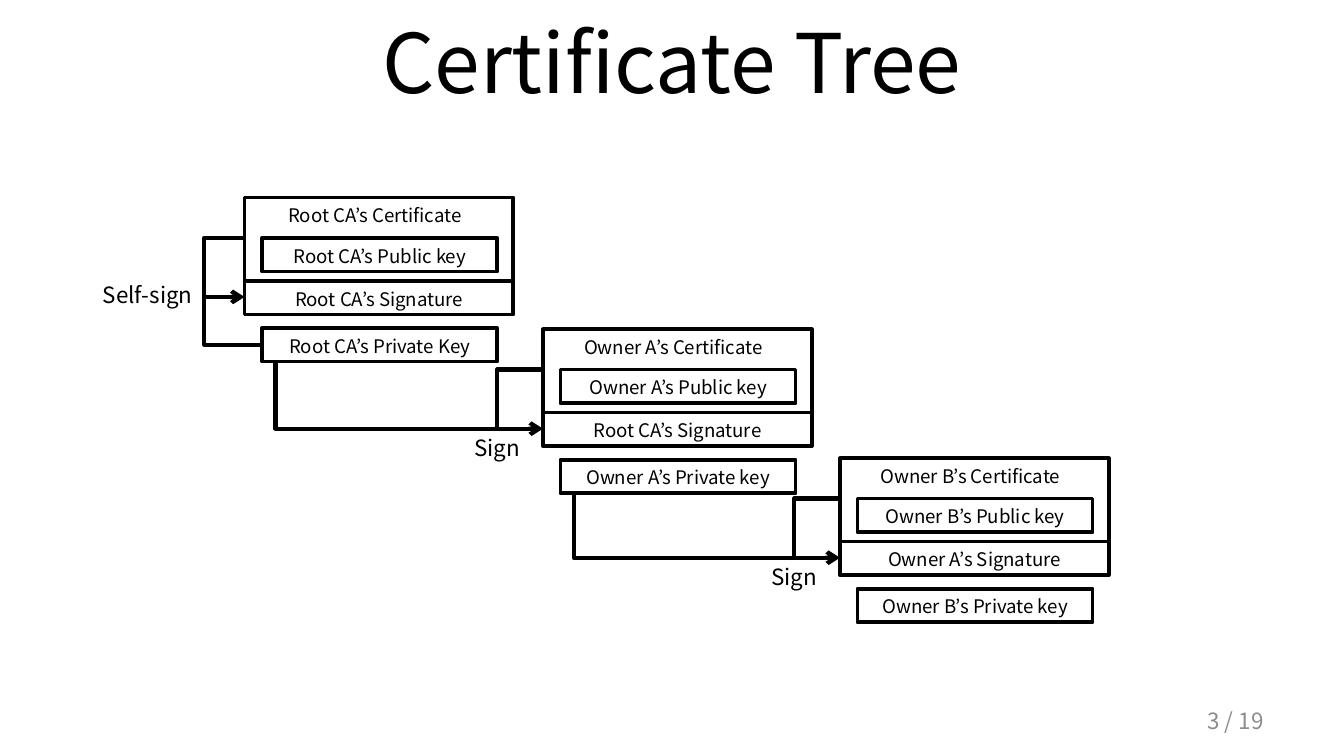
import pptx
import pptx.util
import pptx.dml.color
import pptx.enum.shapes
import pptx.enum.text
import pptx.oxml.ns
from lxml import etree

FONT = "Noto Sans CJK KR"
INK, PAPER, GREY = "000000", "FFFFFF", "8C8C8C"
ALIGN = pptx.enum.text.PP_ALIGN
ANCHOR = pptx.enum.text.MSO_ANCHOR
inch = pptx.util.Inches

TITLE = "Certificate Tree"
PAGE = "3 / 19"
# owner, signer, private key label, left, top
CERTS = [
    ("Root CA", "Root CA", "Private Key", 1.82, 1.47),
    ("Owner A", "Root CA", "Private key", 4.04, 2.45),
    ("Owner B", "Owner A", "Private key", 6.25, 3.41),
]

WIDE, BODY, ROW = 2, 0.62, 0.25     # certificate width, body and row heights
PAD, KEY = 0.13, 1.75               # indent and width of the key boxes
PUB, SIGN, PRIV = 0.3, 0.74, 0.97   # drops from the certificate's top
DROP = 0.23                         # where the signing line leaves a private key

deck = pptx.Presentation()
deck.slide_width = inch(10)
deck.slide_height = deck.slide_width * 9 // 16
slide = deck.slides.add_slide(deck.slide_layouts[6])


def paint(code):
    return pptx.dml.color.RGBColor.from_string(code)


def write(shape, text, size, color=INK, align=ALIGN.CENTER, anchor=ANCHOR.MIDDLE):
    frame = shape.text_frame
    frame.word_wrap = True
    frame.vertical_anchor = anchor
    para = frame.paragraphs[0]
    para.text = text
    para.alignment = align
    para.font.size = pptx.util.Pt(size)
    para.font.name = FONT
    para.font.color.rgb = paint(color)
    return frame


def label(text, x, y, w, h, size, **style):
    box = slide.shapes.add_textbox(inch(x), inch(y), inch(w), inch(h))
    write(box, text, size, **style)


def block(text, x, y, w, h):
    """Outlined box with its text at the top."""
    box = slide.shapes.add_shape(
        pptx.enum.shapes.MSO_SHAPE.RECTANGLE, inch(x), inch(y), inch(w), inch(h))
    box.shadow.inherit = False
    box.fill.solid()
    box.fill.fore_color.rgb = paint(PAPER)
    box.line.color.rgb = paint(INK)
    box.line.width = pptx.util.Pt(2)
    frame = write(box, text, 10, anchor=ANCHOR.TOP)
    frame.margin_top, frame.margin_bottom = inch(0.05), 0
    return frame


def route(points, arrow=False):
    """Open line through the points, in inches."""
    spots = [(inch(x), inch(y)) for x, y in points]
    pen = slide.shapes.build_freeform(*spots[0])
    pen.add_line_segments(spots[1:], close=False)
    shape = pen.convert_to_shape()
    shape.shadow.inherit = False
    shape.fill.background()
    shape.line.color.rgb = paint(INK)
    shape.line.width = pptx.util.Pt(2.25)
    if arrow:
        line = shape.element.spPr.find(pptx.oxml.ns.qn("a:ln"))
        etree.SubElement(line, pptx.oxml.ns.qn("a:tailEnd"), type="arrow")


label(TITLE, 0.5, -0.02, 9, 0.94, 44)
label(PAGE, 7.17, 5.21, 2.33, 0.3, 12, color=GREY, align=ALIGN.RIGHT)

for i, (owner, signer, private, x, y) in enumerate(CERTS):
    head = block(f"{owner}’s Certificate", x, y, WIDE, BODY)
    head.margin_right = inch(0.16)   # heading sits a little left of centre
    block(f"{owner}’s Public key", x + PAD, y + PUB, KEY, ROW)
    block(f"{signer}’s Signature", x, y + BODY, WIDE, ROW)
    block(f"{owner}’s {private}", x + PAD, y + PRIV, KEY, ROW)

    if i == 0:
        fork = x - 0.3
        mid = y + PRIV + ROW / 2
        start = [(x + PAD, mid), (fork, mid), (fork, y + SIGN)]
        label("Self-sign", x - 1.31, y + 0.57, 1.18, 0.3, 12)
    else:
        fork = x - 0.34
        left, top = CERTS[i - 1][3:]
        start = [(left + DROP, top + PRIV + ROW), (left + DROP, y + SIGN)]
        label("Sign", x - 0.93, y + 0.73, 1.18, 0.3, 12)
    route(start + [(x, y + SIGN)], arrow=True)
    route([(fork, y + SIGN), (fork, y + PUB), (x, y + PUB)])

deck.save("out.pptx")
